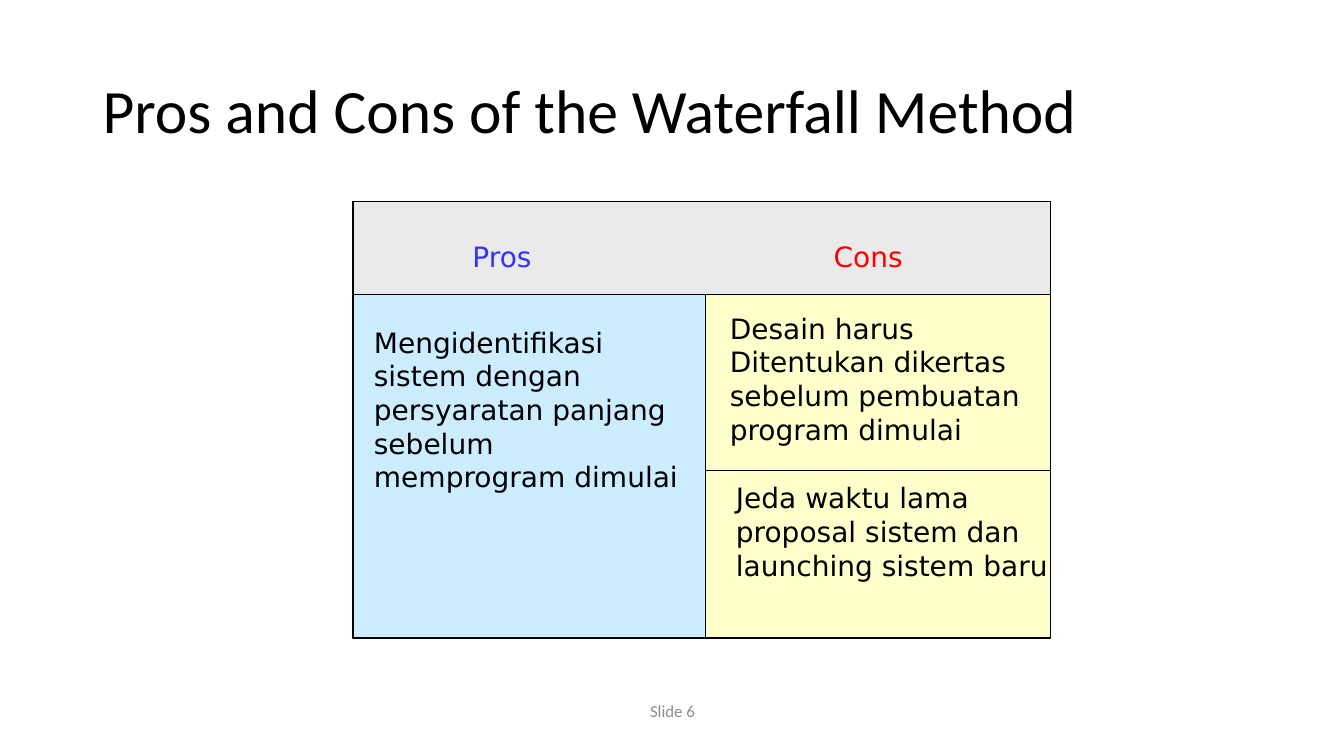
"""Builds the slide on the pros and cons of the waterfall method."""
from lxml.etree import SubElement
from pptx import Presentation
from pptx.dml.color import RGBColor
from pptx.enum.shapes import MSO_CONNECTOR, MSO_SHAPE
from pptx.enum.text import MSO_ANCHOR, PP_ALIGN
from pptx.oxml.ns import qn
from pptx.util import Inches, Pt

BLACK = RGBColor(0x00, 0x00, 0x00)
GREY = RGBColor(0x8C, 0x8C, 0x8C)
BLUE = RGBColor(0x33, 0x33, 0xFF)
RED = RGBColor(0xFF, 0x00, 0x00)
HEADER_FILL = RGBColor(0xEA, 0xEA, 0xEA)
PROS_FILL = RGBColor(0xCC, 0xEC, 0xFF)
CONS_FILL = RGBColor(0xFF, 0xFF, 0xCC)

LEFT, TOP, WIDTH, HEIGHT = 3.5, 2, 6.92, 4.33
HEADER_HEIGHT, PROS_WIDTH, DIVIDER_Y = 0.92, 3.5, 4.67
BODY_TOP = TOP + HEADER_HEIGHT
CONS_LEFT = LEFT + PROS_WIDTH

PANELS = [
    ((LEFT, TOP, WIDTH, HEIGHT), CONS_FILL),
    ((LEFT, TOP, WIDTH, HEADER_HEIGHT), HEADER_FILL),
    ((LEFT, BODY_TOP, PROS_WIDTH, HEIGHT - HEADER_HEIGHT), PROS_FILL),
]

TITLE = ((0.92, 0.4, 11.5, 1.45), ["Pros and Cons of the Waterfall Method"])
FOOTER = ((4.42, 6.85, 4.5, 0.4), ["Slide 6"])
HEADINGS = [
    ((4.56, 2.33, 0.84, 0.43), ["Pros"], BLUE),
    ((8.14, 2.33, 0.94, 0.43), ["Cons"], RED),
]
PROS = ((3.61, 3.17, 3.26, 1.78),
        ["Mengidentifikasi sistem dengan persyaratan panjang sebelum memprogram dimulai"])
CONS_DESIGN = ((7.14, 3.03, 3.13, 1.45),
               ["Desain harus", "Ditentukan dikertas sebelum pembuatan program dimulai"])
CONS_DELAY = ((7.2, 4.72, 3.31, 1.1),
              ["Jeda waktu lama", "proposal sistem dan", "launching sistem baru"])


def add_text(slide, box, lines, color=BLACK, size=20, font="DejaVu Sans",
             align=PP_ALIGN.LEFT, wrap=True, spacing=None):
    frame = slide.shapes.add_textbox(*map(Inches, box)).text_frame
    frame.word_wrap = wrap
    frame.vertical_anchor = MSO_ANCHOR.MIDDLE
    for index, line in enumerate(lines):
        paragraph = frame.add_paragraph() if index else frame.paragraphs[0]
        paragraph.alignment = align
        paragraph.line_spacing = spacing
        run = paragraph.add_run()
        run.text = line
        run.font.name = font
        run.font.size = Pt(size)
        run.font.color.rgb = color


def add_panel(slide, box, fill):
    shape = slide.shapes.add_shape(MSO_SHAPE.RECTANGLE, *map(Inches, box))
    shape.shadow.inherit = False
    shape.fill.solid()
    shape.fill.fore_color.rgb = fill
    shape.line.color.rgb = BLACK
    shape.line.width = Pt(1)


def add_divider(slide):
    divider = slide.shapes.add_connector(
        MSO_CONNECTOR.STRAIGHT, Inches(CONS_LEFT), Inches(DIVIDER_Y),
        Inches(LEFT + WIDTH), Inches(DIVIDER_Y))
    divider.line.color.rgb = BLACK
    divider.line.width = Pt(1)
    SubElement(divider._element.spPr, qn("a:effectLst"))


def main():
    presentation = Presentation()
    presentation.slide_width = Inches(13.33)
    presentation.slide_height = Inches(7.5)
    slide = presentation.slides.add_slide(presentation.slide_layouts[6])

    add_text(slide, *FOOTER, color=GREY, size=12, font="Calibri", align=PP_ALIGN.CENTER)
    add_text(slide, *TITLE, size=44, font="Calibri", spacing=0.9)
    for box, fill in PANELS:
        add_panel(slide, box, fill)
    for box, lines, color in HEADINGS:
        add_text(slide, box, lines, color, align=PP_ALIGN.CENTER, wrap=False)
    add_text(slide, *PROS)
    add_text(slide, *CONS_DESIGN)
    add_text(slide, *CONS_DELAY, wrap=False)
    add_divider(slide)
    presentation.save("out.pptx")


if __name__ == "__main__":
    main()
